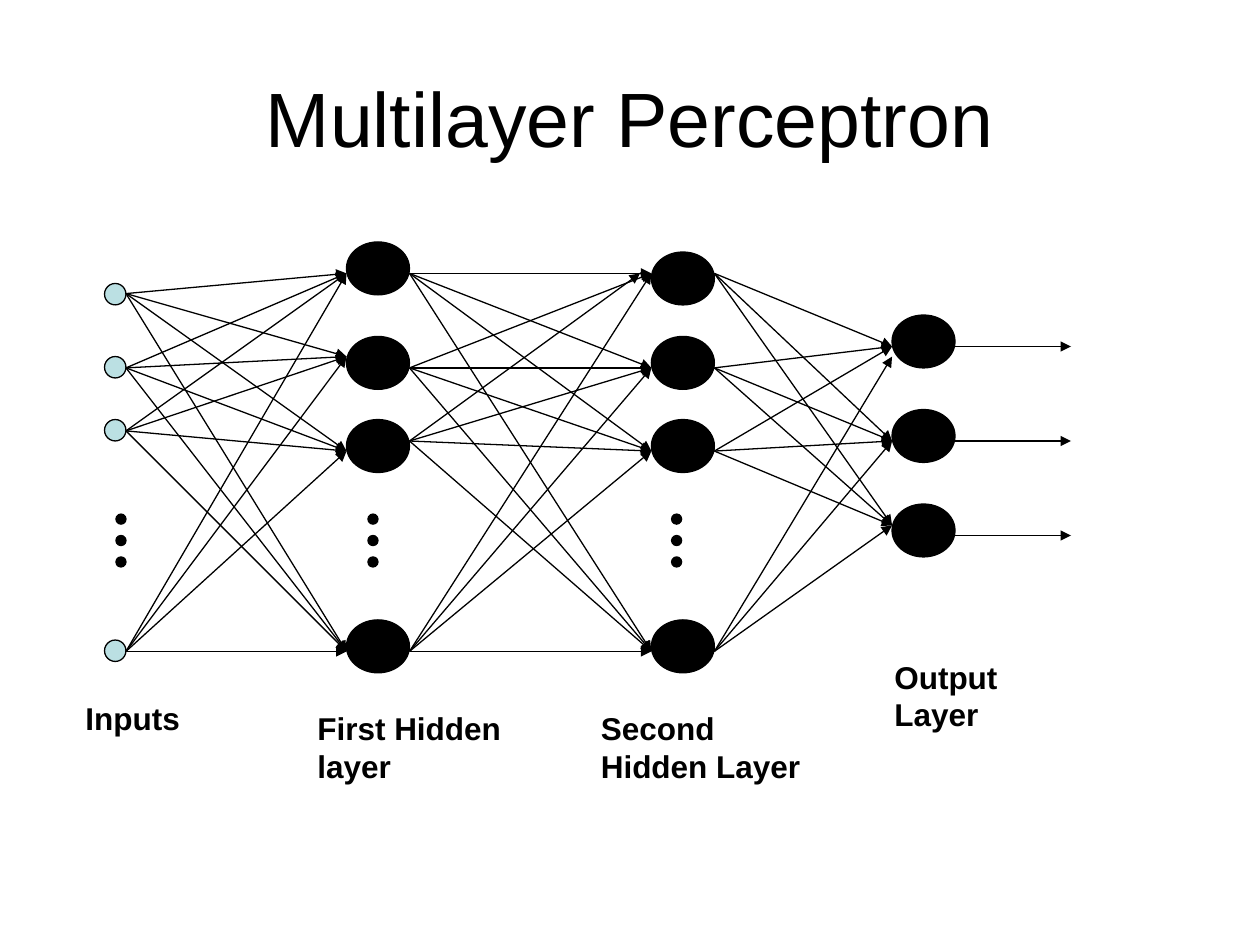
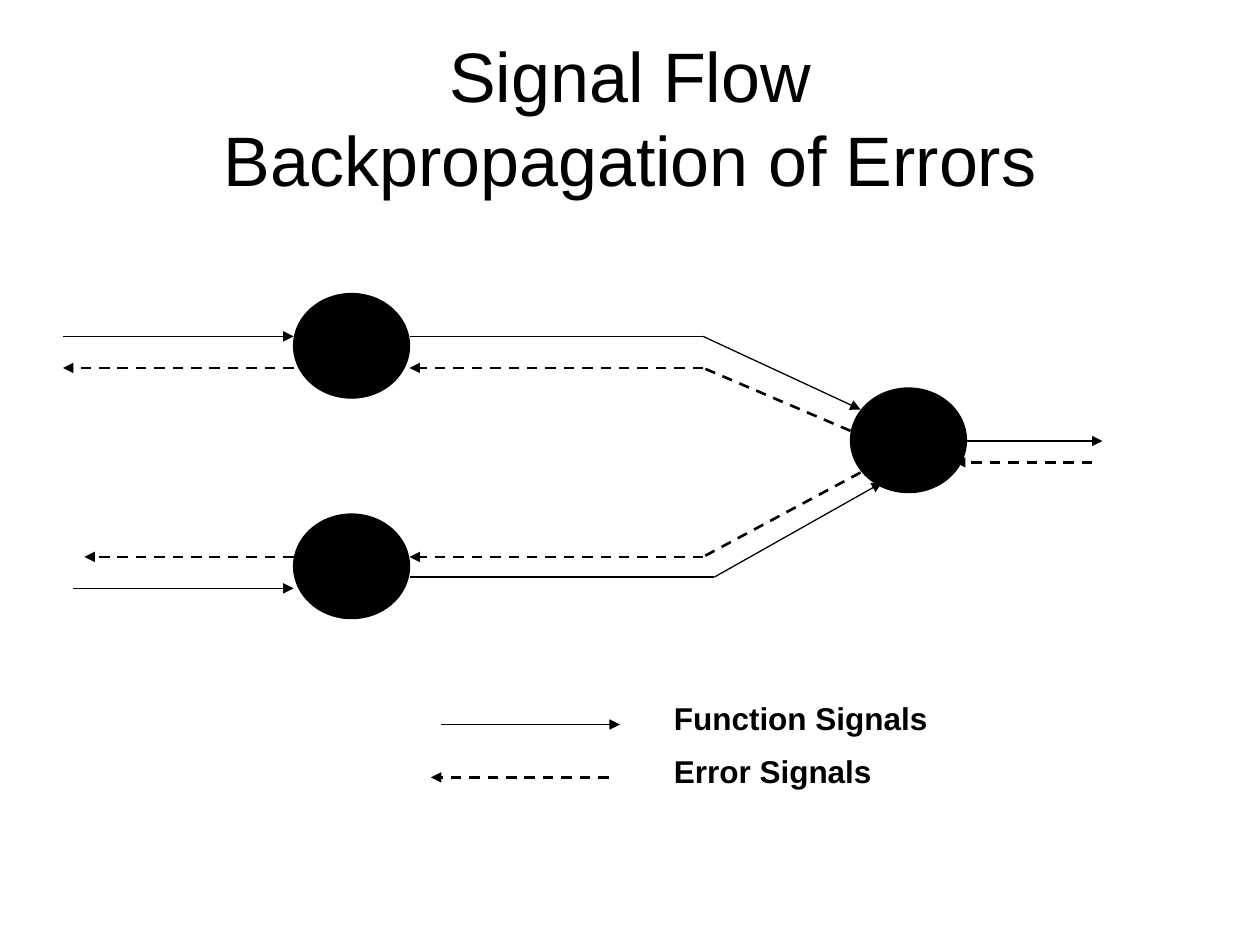
"""Build two slides on multilayer perceptrons and the flow of their signals."""
from itertools import pairwise, product

from lxml.etree import SubElement
from pptx import Presentation
from pptx.dml.color import RGBColor
from pptx.enum.dml import MSO_LINE
from pptx.enum.shapes import MSO_CONNECTOR, MSO_SHAPE
from pptx.enum.text import MSO_ANCHOR, PP_ALIGN
from pptx.oxml.ns import qn
from pptx.util import Inches, Pt

COLORS = {"ink": "000000", "input": "BBE0E3"}
FONT = "Arial"

NETWORK_TITLE = ("Multilayer Perceptron", 44)
INPUT_SIZE, NEURON_SIZE, DOT_SIZE = (0.17, 0.17), (0.5, 0.42), (0.08, 0.08)
LAYERS = [
    {"left": 0.83, "size": INPUT_SIZE, "color": "input", "tops": [2.25, 2.83, 3.33, 5.08],
     "entries": [], "exits": [2.33, 2.92, 3.42, 5.17], "dots_left": 0.92},
    {"left": 2.75, "size": NEURON_SIZE, "color": "ink", "tops": [1.92, 2.67, 3.33, 4.92],
     "entries": [2.17, 2.83, 3.58, 5.17], "exits": [2.17, 2.92, 3.5, 5.17], "dots_left": 2.92},
    {"left": 5.17, "size": NEURON_SIZE, "color": "ink", "tops": [2, 2.67, 3.33, 4.92],
     "entries": [2.17, 2.92, 3.58, 5.17], "exits": [2.17, 2.92, 3.58, 5.17], "dots_left": 5.33},
    {"left": 7.08, "size": NEURON_SIZE, "color": "ink", "tops": [2.5, 3.25, 4],
     "entries": [2.75, 3.5, 4.17], "exits": [2.75, 3.5, 4.25], "dots_left": None},
]
SHIFTED_ENDS = {
    ((3.25, 3.5), (5.17, 2.17)): (5.08, 2.17),
    ((5.67, 5.17), (7.08, 2.75)): (7.08, 2.83),
}
DOT_TOPS = [4.08, 4.25, 4.42]
OUTPUT_END = 8.5
LAYER_LABELS = [
    ("Inputs", (0.58, 5.5, 1, 0.4)),
    ("First Hidden layer", (2.42, 5.58, 1.75, 0.7)),
    ("Second Hidden Layer", (4.67, 5.58, 1.85, 0.7)),
    ("Output Layer", (7, 5.17, 1.17, 0.7)),
]

SIGNAL_TITLE = ("Signal Flow\vBackpropagation of Errors", 40)
SIGNAL_NEURON_SIZE = (0.92, 0.83)
SIGNAL_NEURONS = [(2.33, 2.33), (6.75, 3.08), (2.33, 4.08)]
FUNCTION_SIGNALS = [
    [(0.5, 2.67), (2.33, 2.67)],
    [(0.58, 4.67), (2.33, 4.67)],
    [(3.25, 2.67), (5.58, 2.67), (6.83, 3.25)],
    [(3.25, 4.58), (5.67, 4.58), (7, 3.83)],
    [(7.67, 3.5), (8.75, 3.5)],
    [(3.5, 5.75), (4.92, 5.75)],
]
ERROR_SIGNALS = [
    [(8.67, 3.67), (7.58, 3.67)],
    [(6.75, 3.42), (5.58, 2.92), (3.25, 2.92)],
    [(6.83, 3.75), (5.58, 4.42), (3.25, 4.42)],
    [(2.33, 2.92), (0.5, 2.92)],
    [(2.33, 4.42), (0.67, 4.42)],
    [(4.83, 6.17), (3.42, 6.17)],
]
LEGEND_LABELS = [
    ("Function Signals", (5.25, 5.5, 2.58, 0.4)),
    ("Error Signals", (5.25, 5.92, 1.77, 0.4)),
]


def color(name):
    return RGBColor.from_string(COLORS[name])


def add_text(slide, text, box, size, bold=False, align=PP_ALIGN.LEFT, anchor=MSO_ANCHOR.TOP):
    text_frame = slide.shapes.add_textbox(*map(Inches, box)).text_frame
    text_frame.word_wrap = True
    text_frame.vertical_anchor = anchor
    text_frame.text = text
    paragraph = text_frame.paragraphs[0]
    paragraph.alignment = align
    for run in paragraph.runs:
        run.font.name = FONT
        run.font.size = Pt(size)
        run.font.bold = bold
        run.font.color.rgb = color("ink")


def add_titled_slide(presentation, title, size):
    slide = presentation.slides.add_slide(presentation.slide_layouts[6])
    add_text(slide, title, (0.5, 0.3, 9, 1.25), size, align=PP_ALIGN.CENTER, anchor=MSO_ANCHOR.MIDDLE)
    return slide


def add_labels(slide, labels):
    for text, box in labels:
        add_text(slide, text, box, 18, bold=True)


def add_ellipse(slide, left, top, size, fill="ink"):
    shape = slide.shapes.add_shape(MSO_SHAPE.OVAL, *map(Inches, (left, top, *size)))
    shape.shadow.inherit = False
    shape.fill.solid()
    shape.fill.fore_color.rgb = color(fill)
    shape.line.color.rgb = color("ink")
    shape.line.width = Pt(0.75)


def add_line(slide, start, end, dashed=False, arrow=True):
    connector = slide.shapes.add_connector(MSO_CONNECTOR.STRAIGHT, *map(Inches, (*start, *end)))
    connector.line.color.rgb = color("ink")
    connector.line.width = Pt(1.5 if dashed else 0.75)
    if dashed:
        connector.line.dash_style = MSO_LINE.DASH
    properties = connector.element.spPr
    if arrow:
        SubElement(properties.find(qn("a:ln")), qn("a:tailEnd"), type="triangle")
    SubElement(properties, qn("a:effectLst"))


def add_signal(slide, points, dashed=False):
    for start, end in pairwise(points):
        add_line(slide, start, end, dashed, arrow=end == points[-1])


def exit_points(layer):
    right = round(layer["left"] + layer["size"][0], 2)
    return [(right, y) for y in layer["exits"]]


def build_network(presentation):
    slide = add_titled_slide(presentation, *NETWORK_TITLE)
    for layer in LAYERS:
        for top in layer["tops"]:
            add_ellipse(slide, layer["left"], top, layer["size"], layer["color"])
        if layer["dots_left"] is not None:
            for top in DOT_TOPS:
                add_ellipse(slide, layer["dots_left"], top, DOT_SIZE)
    for source, target in pairwise(LAYERS):
        entries = [(target["left"], y) for y in target["entries"]]
        for start, end in product(exit_points(source), entries):
            add_line(slide, start, SHIFTED_ENDS.get((start, end), end))
    for start in exit_points(LAYERS[-1]):
        add_line(slide, start, (OUTPUT_END, start[1]))
    add_labels(slide, LAYER_LABELS)


def build_signal_flow(presentation):
    slide = add_titled_slide(presentation, *SIGNAL_TITLE)
    for left, top in SIGNAL_NEURONS:
        add_ellipse(slide, left, top, SIGNAL_NEURON_SIZE)
    for points in FUNCTION_SIGNALS:
        add_signal(slide, points)
    for points in ERROR_SIGNALS:
        add_signal(slide, points, dashed=True)
    add_labels(slide, LEGEND_LABELS)


def main():
    presentation = Presentation()
    presentation.slide_width = Inches(10)
    presentation.slide_height = Inches(7.5)
    build_network(presentation)
    build_signal_flow(presentation)
    presentation.save("out.pptx")


if __name__ == "__main__":
    main()
